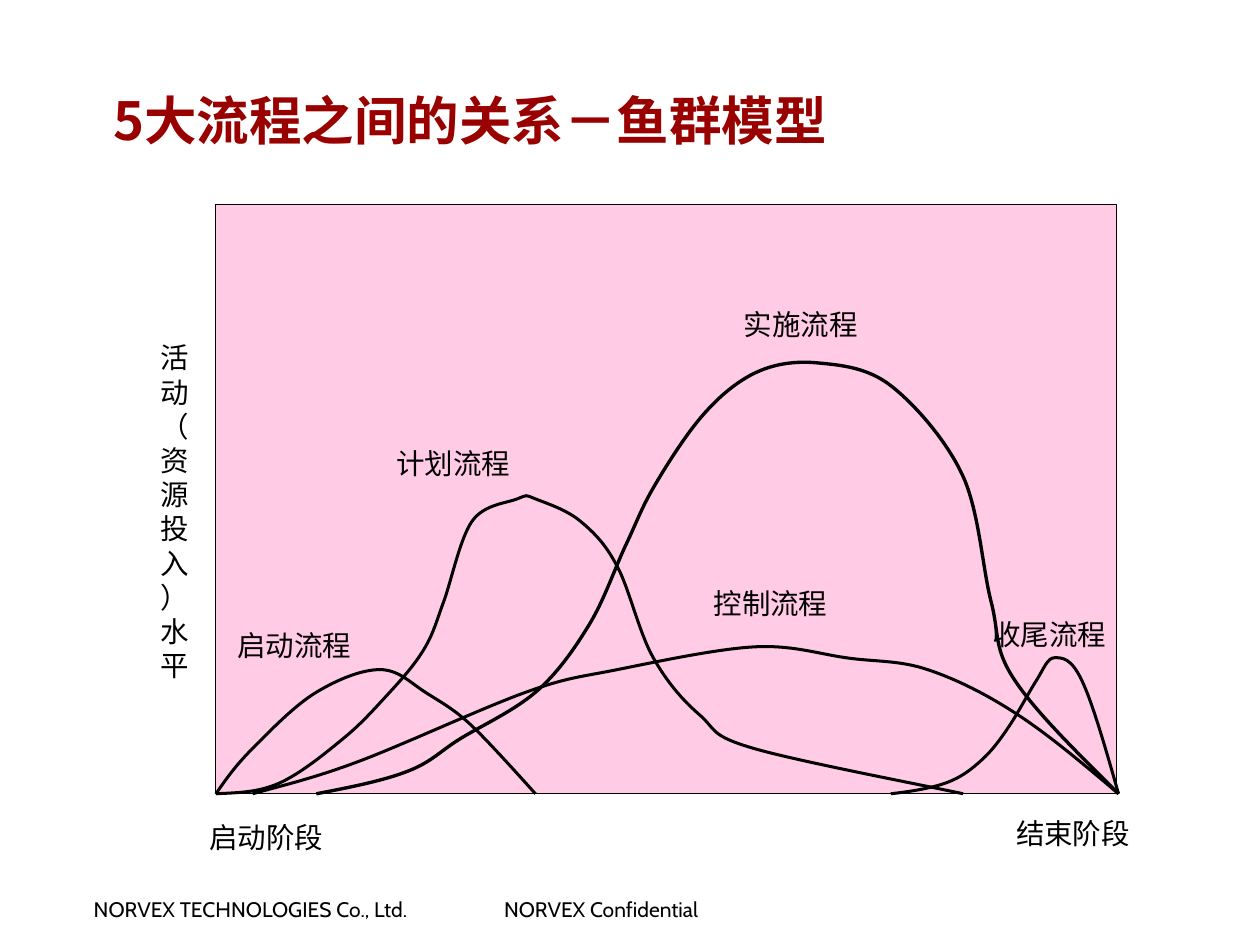
from lxml import etree
from pptx import Presentation
from pptx import util as u
from pptx.dml.color import RGBColor
from pptx.enum import shapes, text
from pptx.oxml.ns import qn

PX = 9144  # 100 px to the inch
BLACK = "000000"
CJK_FONT = "Noto Sans CJK SC"
LABEL_FONT = "DejaVu Sans"

# Points of each curve: px right of the plot's left edge, px above its base.
# The third value tells whether the curve flattens into its last segment.
CURVES = [
    ([(0, 0), (34, 42), (93, 94), (152, 115), (194, 94), (237, 63), (296, 0)], 2, False),
    ([(0, 0), (59, 10), (119, 52), (161, 94), (194, 136), (211, 178), (237, 252),
      (279, 273), (296, 273), (338, 252), (372, 210), (405, 126), (448, 73),
      (498, 42), (692, 0)], 2, False),
    ([(93, 0), (178, 21), (228, 52), (296, 94), (346, 157), (380, 231), (405, 283),
      (448, 347), (498, 389), (557, 399), (625, 378), (692, 294), (718, 178),
      (740, 105), (836, 0)], 2.25, True),
    ([(34, 0), (135, 31), (287, 94), (372, 115), (498, 136), (583, 126), (659, 115),
      (743, 73), (836, 0)], 2, True),
    ([(625, 0), (676, 10), (709, 31), (735, 63), (760, 105), (777, 126), (802, 105),
      (836, 0)], 2, True),
]
# Left and top from the plot's corner, then width
LABELS = [
    ("启动流程", 8, 387, 194),
    ("计划流程", 155, 218, 203),
    ("实施流程", 477, 89, 211),
    ("控制流程", 449, 348, 228),
    ("收尾流程", 707, 376, 153),
    ("启动阶段", -18, 564, 149),
    ("结束阶段", 729, 561, 149),
]


def color(value):
    return RGBColor.from_string(value)


def add_text(slide, box, words, size, font, ink=BLACK, bold=False, inset=(10, 5),
             anchor=text.MSO_ANCHOR.TOP, align=text.PP_ALIGN.LEFT):
    shape = slide.shapes.add_textbox(*[value * PX for value in box])
    frame = shape.text_frame
    frame.word_wrap = True
    frame.vertical_anchor = anchor
    frame.margin_left = frame.margin_right = inset[0] * PX
    frame.margin_top = frame.margin_bottom = inset[1] * PX
    paragraph = frame.paragraphs[0]
    paragraph.alignment = align
    run = paragraph.add_run()
    run.text = words
    run.font.size = u.Pt(size)
    run.font.name = font
    run.font.bold = bold
    run.font.color.rgb = color(ink)
    east_asian = etree.SubElement(run.font._element, qn("a:ea"))
    east_asian.set("typeface", CJK_FONT)


def bezier_segments(points, eased_end):
    """Cubic segments of a Catmull-Rom spline through the points."""
    def handle(index, side):
        return tuple(here + side * (after - before) / 6 for before, here, after
                     in zip(points[index - 1], points[index], points[index + 1]))

    def middle(a, b):
        return tuple((p + q) / 2 for p, q in zip(a, b))

    last = len(points) - 1
    segments = []
    for index in range(last):
        start, end = points[index], points[index + 1]
        if index + 1 < last:
            second = handle(index + 1, -1)
        elif eased_end:
            second = middle(handle(index, 1), end)
        else:
            second = tuple(q - (q - p) / 6 for p, q in zip(start, end))
        first = handle(index, 1) if index else middle(start, second)
        segments.append((first, second, end))
    return segments


def add_curve(slide, points, width, eased_end):
    builder = slide.shapes.build_freeform(*points[0], scale=float(PX))
    builder.add_line_segments(points[1:], close=False)
    shape = builder.convert_to_shape()
    left, top = (min(values) for values in zip(*points))
    local = [(x - left, y - top) for x, y in points]
    lines = list(shape.element.iter(qn("a:lnTo")))
    for line, segment in zip(lines, bezier_segments(local, eased_end)):
        line.tag = qn("a:cubicBezTo")
        for child in list(line):
            line.remove(child)
        for x, y in segment:
            point = etree.SubElement(line, qn("a:pt"))
            point.set("x", str(round(x)))
            point.set("y", str(round(y)))
    shape.shadow.inherit = False
    shape.fill.background()
    shape.line.color.rgb = color(BLACK)
    shape.line.width = u.Pt(width)


def add_plot(slide, left, top, width, height):
    area = slide.shapes.add_shape(shapes.MSO_SHAPE.RECTANGLE, left * PX, top * PX,
                                  width * PX, height * PX)
    area.shadow.inherit = False
    area.fill.solid()
    area.fill.fore_color.rgb = color("FF99CC")
    fill_color = area.element.spPr.find(qn("a:solidFill"))[0]
    etree.SubElement(fill_color, qn("a:alpha")).set("val", "50000")
    area.line.color.rgb = color(BLACK)
    area.line.width = u.Pt(0.75)

    base = top + height
    for points, line_width, eased_end in CURVES:
        add_curve(slide, [(left + x, base - y) for x, y in points], line_width, eased_end)
    for words, x, y, label_width in LABELS:
        add_text(slide, (left + x, top + y, label_width, 43), words, 19, LABEL_FONT,
                 inset=(12, 6))
    add_text(slide, (left - 65, top + 120, 54, 329), "活动（资源投入）水平", 19, LABEL_FONT,
             inset=(11, 6), anchor=text.MSO_ANCHOR.MIDDLE, align=text.PP_ALIGN.CENTER)


def add_footer(slide, left, top):
    add_text(slide, (left, top, 360, 33), "NORVEX TECHNOLOGIES Co., Ltd.", 14, "Cabin")
    add_text(slide, (left + 380, top, 227, 33), "NORVEX Confidential", 14, "Cabin")


def main():
    presentation = Presentation()
    presentation.slide_width = 1167 * PX
    presentation.slide_height = 875 * PX
    slide = presentation.slides.add_slide(presentation.slide_layouts[6])
    add_footer(slide, 77, 825)
    add_text(slide, (95, 33, 940, 156), "5大流程之间的关系－鱼群模型", 35, CJK_FONT,
             ink="990000", bold=True, anchor=text.MSO_ANCHOR.MIDDLE)
    add_plot(slide, 200, 189, 834, 546)
    presentation.save("out.pptx")


if __name__ == "__main__":
    main()
